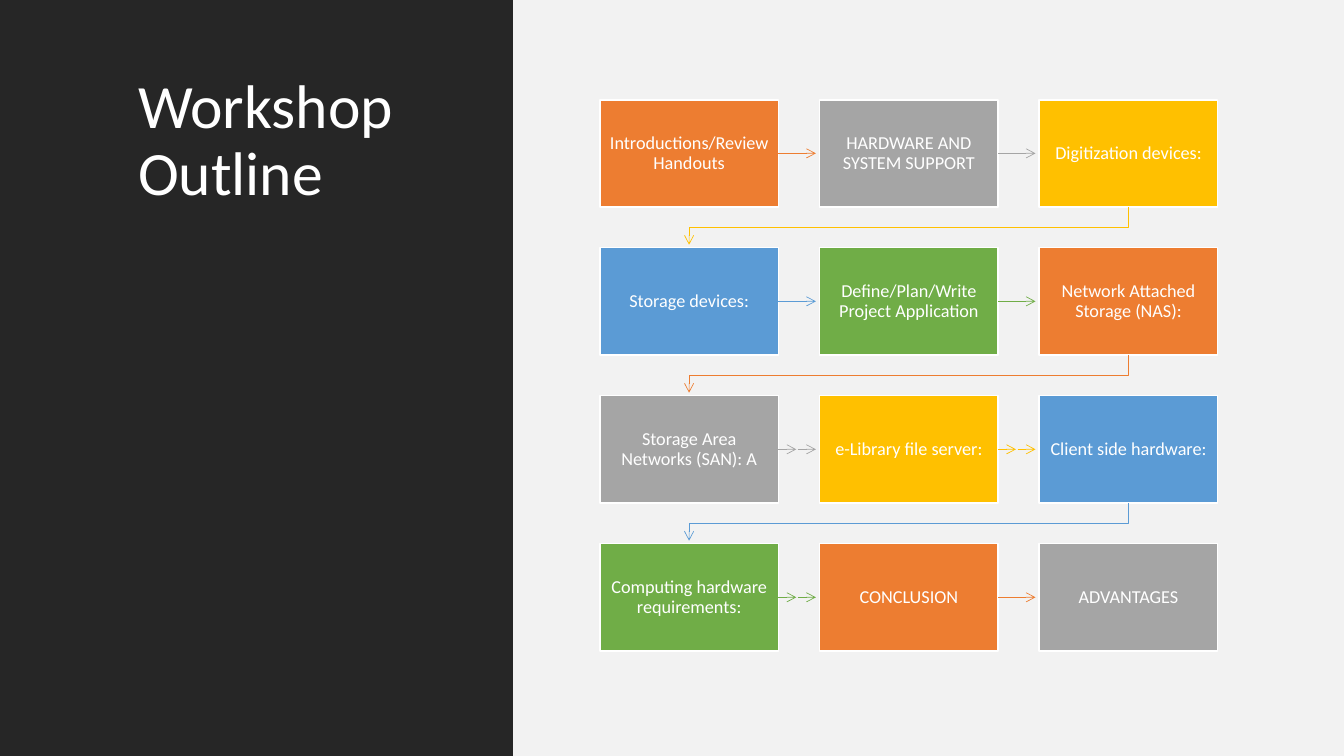
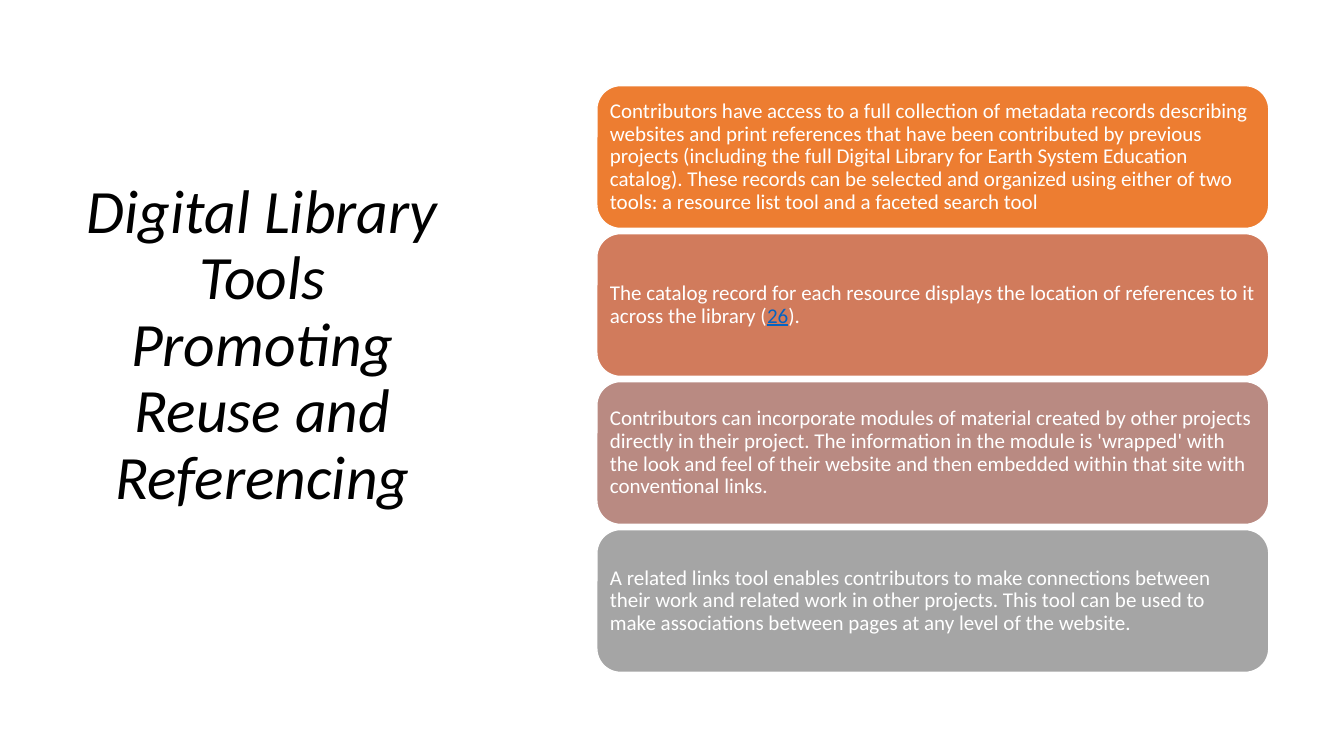
from lxml import etree
from pptx import Presentation
from pptx.dml.color import RGBColor
from pptx.enum.shapes import MSO_CONNECTOR, MSO_SHAPE
from pptx.enum.text import MSO_ANCHOR, MSO_AUTO_SIZE, PP_ALIGN
from pptx.oxml.ns import qn
from pptx.util import Pt

STRAIGHT = MSO_CONNECTOR.STRAIGHT
RECTANGLE, ROUNDED = MSO_SHAPE.RECTANGLE, MSO_SHAPE.ROUNDED_RECTANGLE
TOP, MIDDLE = MSO_ANCHOR.TOP, MSO_ANCHOR.MIDDLE
LEFT, CENTER = PP_ALIGN.LEFT, PP_ALIGN.CENTER
NO_FIT = MSO_AUTO_SIZE.NONE

BLACK = RGBColor(0x00, 0x00, 0x00)
WHITE = RGBColor(0xFF, 0xFF, 0xFF)
DARK = RGBColor(0x26, 0x26, 0x26)
PALE = RGBColor(0xF2, 0xF2, 0xF2)
ORANGE = RGBColor(0xED, 0x7D, 0x31)
GRAY = RGBColor(0xA5, 0xA5, 0xA5)
GOLD = RGBColor(0xFF, 0xC0, 0x00)
BLUE = RGBColor(0x5B, 0x9B, 0xD5)
GREEN = RGBColor(0x70, 0xAD, 0x47)
TERRACOTTA = RGBColor(0xD1, 0x7B, 0x5C)
ROSE = RGBColor(0xB9, 0x8A, 0x82)
LINK = RGBColor(0x05, 0x63, 0xC1)

FONT = "Calibri"
PAGE_WIDTH, PAGE_HEIGHT = 960, 540
ROW_PITCH = 105.7

STEP_COLORS = [ORANGE, GRAY, GOLD, BLUE, GREEN]
STEPS = [
    "Introductions/Review Handouts",
    "HARDWARE AND SYSTEM SUPPORT",
    "Digitization devices:",
    "Storage devices:",
    "Define/Plan/Write Project Application",
    "Network Attached Storage (NAS):",
    "Storage Area Networks (SAN): A",
    "e-Library file server:",
    "Client side hardware:",
    "Computing hardware requirements:",
    "CONCLUSION",
    "ADVANTAGES",
]
DOUBLE_ARROWS = {6, 7, 9}

TOOLS = [
    (ORANGE, [
        "Contributors have access to a full collection of metadata records "
        "describing websites and print references that have been contributed "
        "by previous projects (including the full Digital Library for Earth "
        "System Education catalog). These records can be selected and "
        "organized using either of two tools: a resource list tool and a "
        "faceted search tool"]),
    (TERRACOTTA, [
        "The catalog record for each resource displays the location of "
        "references to it across the library (", "26", ")."]),
    (ROSE, [
        "Contributors can incorporate modules of material created by other "
        "projects directly in their project. The information in the module is "
        "'wrapped' with the look and feel of their website and then embedded "
        "within that site with conventional links."]),
    (GRAY, [
        "A related links tool enables contributors to make connections between "
        "their work and related work in other projects. This tool can be used "
        "to make associations between pages at any level of the website."]),
]


class Workshop:
    """Holds the deck, its style and the current page."""

    def __init__(self):
        self.deck = Presentation()
        self.deck.slide_width = Pt(PAGE_WIDTH)
        self.deck.slide_height = Pt(PAGE_HEIGHT)
        self.page = None

    def add_page(self):
        layout = self.deck.slide_layouts.get_by_name("Title Only")
        self.page = self.deck.slides.add_slide(layout)

    def style(self, para, size, color, align):
        para.alignment = align
        para.line_spacing = 0.9
        para.font.name = FONT
        para.font.size = Pt(size)
        para.font.color.rgb = color

    def title(self, text, area, color, align=LEFT, anchor=TOP, italic=False):
        title = self.page.shapes.title
        title.left, title.top, title.width, title.height = map(Pt, area)
        frame = title.text_frame
        frame.text = text
        frame.auto_size = NO_FIT
        frame.vertical_anchor = anchor
        para = frame.paragraphs[0]
        self.style(para, 44, color, align)
        para.font.italic = italic

    def shape(self, kind, area, fill):
        box = self.page.shapes.add_shape(kind, *map(Pt, area))
        box.shadow.inherit = False
        box.fill.solid()
        box.fill.fore_color.rgb = fill
        return box

    def panel(self, area, fill):
        panel = self.shape(RECTANGLE, area, fill)
        panel.line.fill.background()
        self.page.shapes.title.element.addprevious(panel.element)

    def box(self, kind, area, fill, spans, size, align, inset):
        box = self.shape(kind, area, fill)
        box.line.color.rgb = WHITE
        box.line.width = Pt(1)
        frame = box.text_frame
        frame.word_wrap = True
        frame.vertical_anchor = MIDDLE
        frame.margin_left = frame.margin_right = Pt(inset)
        frame.margin_top = frame.margin_bottom = Pt(inset)
        para = frame.paragraphs[0]
        self.style(para, size, WHITE, align)
        for index, text in enumerate(spans):
            span = para.add_run()
            span.text = text
            if index % 2:
                span.font.color.rgb = LINK
                span.font.underline = True

    def arrow(self, points, color):
        points = [(Pt(x), Pt(y)) for x, y in points]
        if len(points) == 2:
            arrow = self.page.shapes.add_connector(STRAIGHT, *points[0], *points[1])
        else:
            outline = self.page.shapes.build_freeform(*points[0])
            outline.add_line_segments(points[1:], close=False)
            arrow = outline.convert_to_shape()
            arrow.fill.background()
        arrow.line.color.rgb = color
        arrow.line.width = Pt(0.5)
        properties = arrow.element.spPr
        etree.SubElement(properties.find(qn("a:ln")), qn("a:tailEnd"), type="arrow")
        etree.SubElement(properties, qn("a:effectLst"))


def add_outline(workshop):
    workshop.add_page()
    split = 366.5
    workshop.panel((0, 0, split, PAGE_HEIGHT), DARK)
    workshop.panel((split, 0, PAGE_WIDTH - split, PAGE_HEIGHT), PALE)
    workshop.title("Workshop Outline", (91.4, 50.4, 228, 439), WHITE)

    columns, column_pitch = 3, 156.9
    width, height = 127.5, 76.5
    first_left, first_top = 428.5, 71.3
    reach, half_reach = 26.8, 12.8
    drop, fall = 14.6, 27
    for index, step in enumerate(STEPS):
        row, column = divmod(index, columns)
        left = first_left + column * column_pitch
        top = first_top + row * ROW_PITCH
        right, bottom = left + width, top + height
        middle = top + height / 2
        color = STEP_COLORS[index % len(STEP_COLORS)]
        workshop.box(RECTANGLE, (left, top, width, height), color, [step],
                     13, CENTER, 6)
        if index == len(STEPS) - 1:
            continue
        if column == columns - 1:
            start, end = left + width / 2, first_left + width / 2
            workshop.arrow([(start, bottom), (start, bottom + drop),
                            (end, bottom + drop), (end, bottom + fall)], color)
        elif index in DOUBLE_ARROWS:
            for start in (right, right + reach - half_reach):
                workshop.arrow([(start, middle), (start + half_reach, middle)], color)
        else:
            workshop.arrow([(right, middle), (right + reach, middle)], color)


def add_tools(workshop):
    workshop.add_page()
    workshop.title("Digital Library Tools Promoting Reuse and Referencing",
                   (54, 55.4, 267, 384), BLACK, CENTER, MIDDLE, italic=True)
    for row, (color, spans) in enumerate(TOOLS):
        area = (426.3, 61.2 + row * ROW_PITCH, 480, 102)
        workshop.box(ROUNDED, area, color, spans, 15, LEFT, 4.4)


def main():
    workshop = Workshop()
    add_outline(workshop)
    add_tools(workshop)
    workshop.deck.save("out.pptx")


if __name__ == "__main__":
    main()
